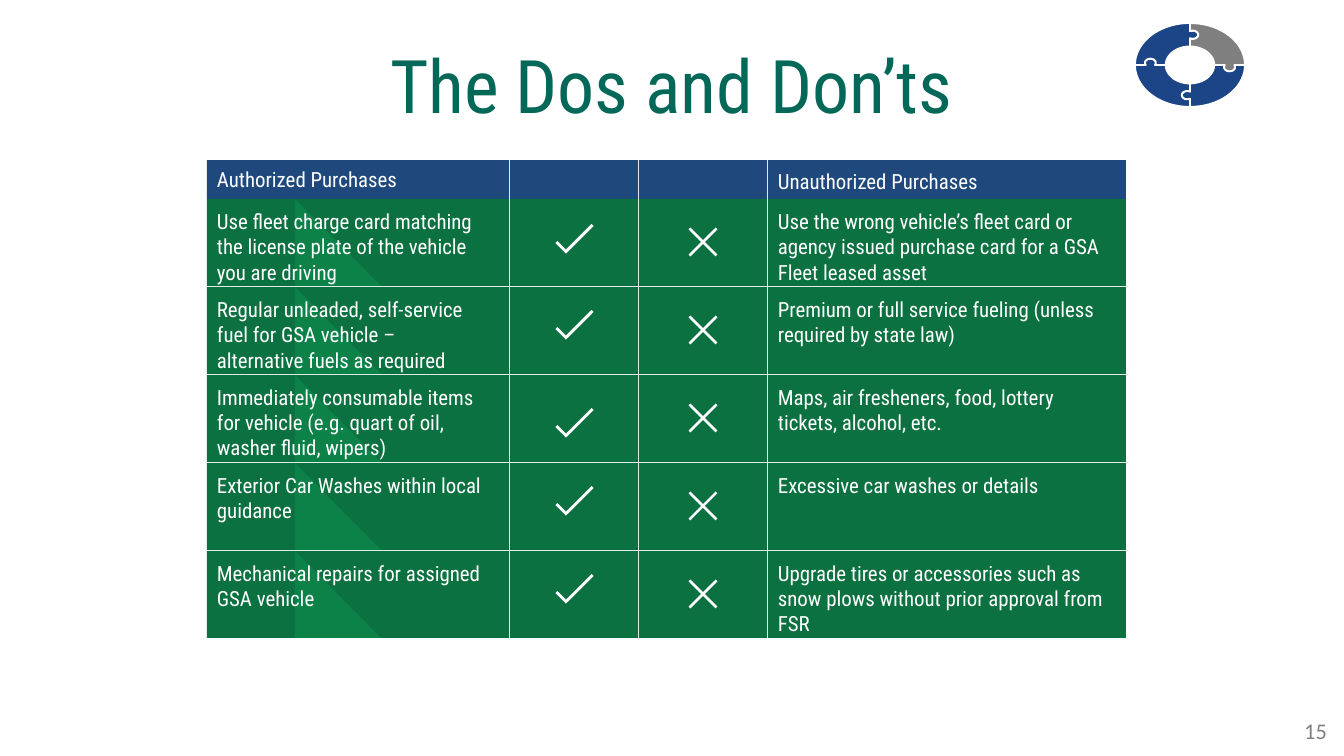
from math import cos, radians, sin

from pptx import Presentation
from pptx.dml.color import RGBColor
from pptx.enum.shapes import MSO_SHAPE
from pptx.enum.text import MSO_ANCHOR, MSO_AUTO_SIZE, PP_ALIGN
from pptx.util import Pt

RECTANGLE, TRIANGLE = MSO_SHAPE.RECTANGLE, MSO_SHAPE.RIGHT_TRIANGLE
CORNER, MULTIPLY = MSO_SHAPE.CORNER, MSO_SHAPE.MATH_MULTIPLY
TOP, MIDDLE = MSO_ANCHOR.TOP, MSO_ANCHOR.MIDDLE
LEFT, CENTER, RIGHT = PP_ALIGN.LEFT, PP_ALIGN.CENTER, PP_ALIGN.RIGHT
NO_AUTOFIT = MSO_AUTO_SIZE.NONE

WHITE = RGBColor(0xFF, 0xFF, 0xFF)
TEAL = RGBColor(0x04, 0x68, 0x58)
NAVY = RGBColor(0x1F, 0x49, 0x7D)
GREEN = RGBColor(0x0B, 0x71, 0x40)
LIGHT_GREEN = RGBColor(0x0C, 0x81, 0x48)
BLUE = RGBColor(0x1C, 0x45, 0x87)
RING_GRAY = RGBColor(0x7F, 0x7F, 0x7F)
NUMBER_GRAY = RGBColor(0x80, 0x80, 0x80)

TITLE = "The Dos and Don’ts"
SLIDE_NUMBER = "15"
HEADERS = ("Authorized Purchases", "Unauthorized Purchases")
PURCHASES = [
    ("Use fleet charge card matching the license plate of the vehicle you are driving",
     "Use the wrong vehicle’s fleet card or agency issued purchase card for a GSA Fleet leased asset", 28),
    ("Regular unleaded, self-service fuel for GSA vehicle – alternative fuels as required",
     "Premium or full service fueling (unless required by state law)", 26),
    ("Immediately consumable items for vehicle (e.g. quart of oil, washer fluid, wipers)",
     "Maps, air fresheners, food, lottery tickets, alcohol, etc.", 36),
    ("Exterior Car Washes within local guidance",
     "Excessive car washes or details", 26),
    ("Mechanical repairs for assigned GSA vehicle",
     "Upgrade tires or accessories such as snow plows without prior approval from FSR", 26),
]
PIECE_COLORS = [BLUE, BLUE, BLUE, RING_GRAY]

EMU_PER_PX = 914400 / 134.4
GRID_LEFT, HEADER_TOP, HEADER_HEIGHT = 207, 160, 39
COLUMN_WIDTHS = (302, 128, 128, 358)
COLUMN_GAP = 1
ROW_TOP, ROW_PITCH, ROW_HEIGHT = 199, 88, 87
RING_CENTER, RING_RADII = (1190, 65), (55, 42)
INNER, KNOB_PLACE, KNOB_RADIUS = 0.44, 0.72, 0.1


def px(value):
    return round(value * EMU_PER_PX)


def write(shape, text, size=11.2, color=WHITE, font="Roboto Condensed", align=LEFT,
          anchor=TOP, insets=(10, 10), spacing=None):
    frame = shape.text_frame
    frame.word_wrap = True
    frame.auto_size = NO_AUTOFIT
    frame.vertical_anchor = anchor
    frame.margin_left = frame.margin_right = px(insets[0])
    frame.margin_top = frame.margin_bottom = px(insets[1])
    paragraph = frame.paragraphs[0]
    paragraph.text = text
    paragraph.alignment = align
    if spacing:
        paragraph.line_spacing = spacing
    paragraph.font.size = Pt(size)
    paragraph.font.name = font
    paragraph.font.color.rgb = color


def add_shape(slide, kind, box, color, adjustments=(), rotation=0):
    shape = slide.shapes.add_shape(kind, *map(px, box))
    shape.shadow.inherit = False
    shape.fill.solid()
    shape.fill.fore_color.rgb = color
    shape.line.fill.background()
    for index, value in enumerate(adjustments):
        shape.adjustments[index] = value
    shape.rotation = rotation
    return shape


def add_text_box(slide, box, text, **text_format):
    write(slide.shapes.add_textbox(*map(px, box)), text, **text_format)


def add_row(slide, top, height, color):
    cells, left = [], GRID_LEFT
    for width in COLUMN_WIDTHS:
        cells.append(add_shape(slide, RECTANGLE, (left, top, width, height), color))
        left += width + COLUMN_GAP
    return cells


def arc(start, radius):
    angles = [radians(start + step) for step in range(0, 91, 5)]
    return [(radius * cos(angle), radius * sin(angle)) for angle in angles]


def seam(degrees):
    across, along = cos(radians(degrees)), sin(radians(degrees))
    points = []
    for turn in range(-30, 211, 20):
        outward = KNOB_PLACE + KNOB_RADIUS * cos(radians(turn))
        forward = KNOB_RADIUS * (0.5 + sin(radians(turn)))
        points.append((outward * across - forward * along, outward * along + forward * across))
    return points


def add_ring_piece(slide, start, color):
    outline = arc(start, 1) + seam(start + 90) + arc(start, INNER)[::-1] + seam(start)[::-1]
    points = [(px(RING_CENTER[0] + x * RING_RADII[0]), px(RING_CENTER[1] + y * RING_RADII[1]))
              for x, y in outline]
    builder = slide.shapes.build_freeform(*points[0])
    builder.add_line_segments(points[1:], close=True)
    piece = builder.convert_to_shape()
    piece.shadow.inherit = False
    piece.fill.solid()
    piece.fill.fore_color.rgb = color
    piece.line.color.rgb = WHITE
    piece.line.width = Pt(1)


def main():
    presentation = Presentation()
    presentation.slide_width, presentation.slide_height = px(1344), px(756)
    slide = presentation.slides.add_slide(presentation.slide_layouts[5])

    title = slide.shapes.title
    title.left, title.top, title.width, title.height = map(px, (207, 23, 929, 121))
    write(title, TITLE, size=39.6, color=TEAL, align=CENTER, anchor=MIDDLE, insets=(10, 5))
    add_text_box(slide, (1273, 710, 67, 40), SLIDE_NUMBER, size=12, color=NUMBER_GRAY,
                 font="Calibri", align=RIGHT, insets=(13, 7))

    for index, color in enumerate(PIECE_COLORS):
        add_ring_piece(slide, 90 * index, color)

    header = add_row(slide, HEADER_TOP, HEADER_HEIGHT, NAVY)
    write(header[0], HEADERS[0], anchor=MIDDLE)
    write(header[-1], HEADERS[1], anchor=MIDDLE, spacing=1.15)

    for index, (authorized, unauthorized, check_offset) in enumerate(PURCHASES):
        top = ROW_TOP + index * ROW_PITCH
        cells = add_row(slide, top, ROW_HEIGHT, GREEN)
        write(cells[-1], unauthorized)
        add_shape(slide, TRIANGLE, (295, top, 86, ROW_HEIGHT), LIGHT_GREEN)
        add_text_box(slide, (GRID_LEFT, top, 285, ROW_HEIGHT), authorized)
        add_shape(slide, CORNER, (555, top + check_offset, 39, 15), WHITE, (0.188, 0.181), 315)
        add_shape(slide, MULTIPLY, (677, top + 17, 52, 52), WHITE, (0.051,))

    presentation.save("out.pptx")


if __name__ == "__main__":
    main()
